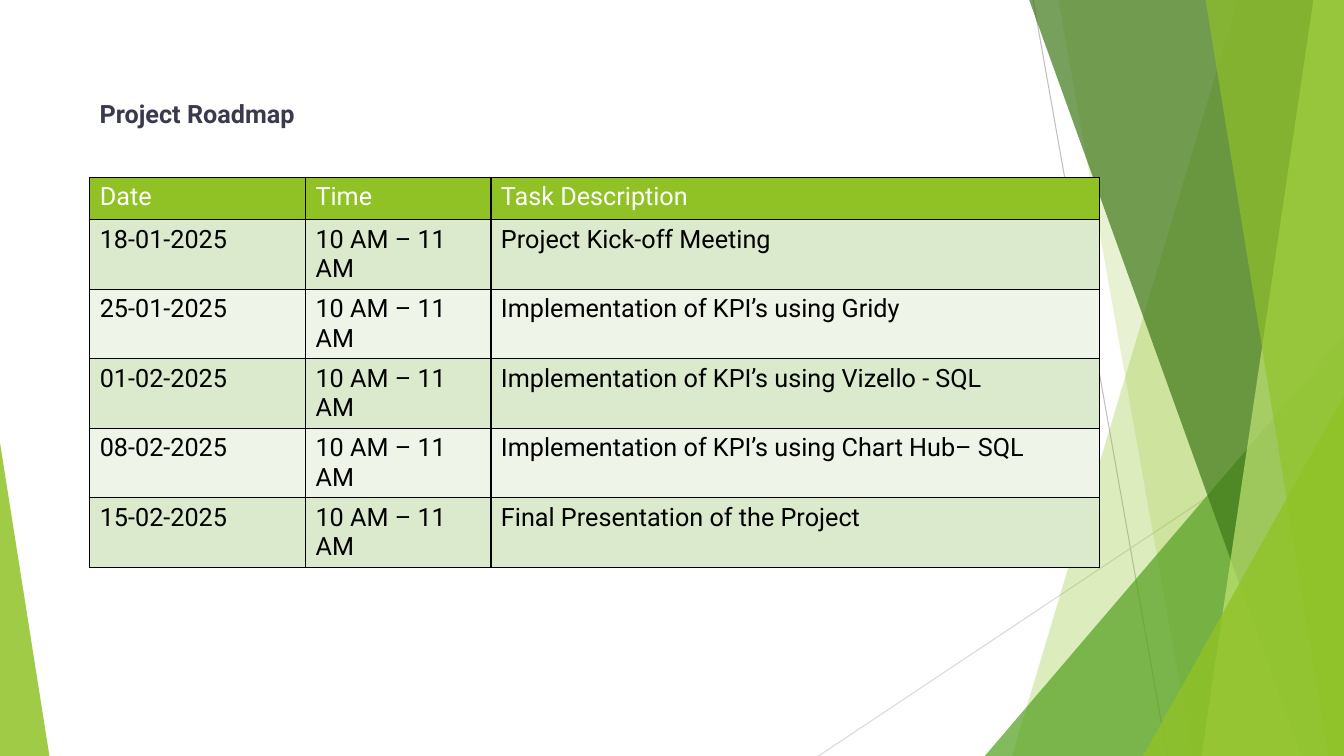
import pptx
import pptx.util
import pptx.dml.color
import pptx.enum.shapes
import pptx.oxml.ns
from lxml import etree

FONT = "Roboto"
WIDE, HIGH = pptx.util.Inches(13.333), pptx.util.Inches(7.5)

# Boxes are left, top, width, height in hundredths of the slide.
LEFT_BOX = (0, 58.53, 3.68, 41.47)
RIGHT_BOX = (60, 0, 40, 100)
TITLE_BOX = (6.68, 12.4, 50, 5.33)
TABLE_BOX = (6.68, 23.47, 75.15, 51.6)

# Hundredths of the right box: (x1, y1, x2, y2), colour
RAYS = [((42.19, 0, 67.13, 100), "BFBFBF"),
        ((100, 53.73, 2.25, 100), "D9D9D9")]
# Facets touch the right edge: top x, bottom x, colour, opacity.
# Peaks rise to the right edge: left x, top y, colour, opacity.
PANES = [("facet", 80.25, 38.25, "90C226", 30),
         ("facet", 46.88, 71.82, "90C226", 20),
         ("peak", 33.19, 44.4, "54A021", 72),
         ("facet", 41.44, 92.07, "3F7819", 70),
         ("facet", 94.32, 73.5, "C0E474", 70),
         ("facet", 74.25, 97.13, "90C226", 65),
         ("peak", 62.63, 52.4, "90C226", 80)]

COLS = (21.36, 18.36, 60.28)
HEAD_ROW = 10.85
HOUR = "10 AM – 11 AM"
TASKS = [("Date", "Time", "Task Description"),
         ("18-01-2025", HOUR, "Project Kick-off Meeting"),
         ("25-01-2025", HOUR, "Implementation of KPI’s using Gridy"),
         ("01-02-2025", HOUR, "Implementation of KPI’s using Vizello - SQL"),
         ("08-02-2025", HOUR, "Implementation of KPI’s using Chart Hub– SQL"),
         ("15-02-2025", HOUR, "Final Presentation of the Project")]


def color(code):
    return pptx.dml.color.RGBColor.from_string(code)


def frame(box):
    """Turn a box in slide hundredths into lengths."""
    left, top, width, height = box
    return (round(left * WIDE / 100), round(top * HIGH / 100),
            round(width * WIDE / 100), round(height * HIGH / 100))


def spot(box, x, y):
    """Place a point given in hundredths of the box."""
    left, top, width, height = frame(box)
    return left + round(x * width / 100), top + round(y * height / 100)


def add_run(par, text, code, bold=False):
    run = par.add_run()
    run.text = text
    font = run.font
    font.name, font.size, font.bold = FONT, pptx.util.Pt(18), bold
    font.color.rgb = color(code)


def paint(shape, code, alpha):
    shape.shadow.inherit = False
    shape.line.fill.background()
    shape.fill.solid()
    shape.fill.fore_color.rgb = color(code)
    tint = shape._element.spPr.find(".//" + pptx.oxml.ns.qn("a:srgbClr"))
    etree.SubElement(tint, pptx.oxml.ns.qn("a:alpha"), val=str(alpha * 1000))


def add_ray(slide, box, ends, code):
    line = slide.shapes.add_connector(
        pptx.enum.shapes.MSO_CONNECTOR.STRAIGHT,
        *spot(box, *ends[:2]), *spot(box, *ends[2:]))
    line.line.color.rgb = color(code)
    line.line.width = pptx.util.Pt(0.75)
    etree.SubElement(line._element.spPr, pptx.oxml.ns.qn("a:effectLst"))


def add_facet(slide, box, top, base, code, alpha):
    first, *rest = [spot(box, x, y) for x, y in
                    ((top, 0), (100, 0), (100, 100), (base, 100))]
    form = slide.shapes.build_freeform(*first)
    form.add_line_segments(rest, close=True)
    paint(form.convert_to_shape(), code, alpha)


def add_peak(slide, box, left, top, code, alpha, tip=1):
    """Fill the box from left and top on with a triangle; tip is 0 to 1."""
    start, end = spot(box, left, top), spot(box, 100, 100)
    peak = slide.shapes.add_shape(
        pptx.enum.shapes.MSO_SHAPE.ISOSCELES_TRIANGLE,
        *start, end[0] - start[0], end[1] - start[1])
    peak.adjustments[0] = tip
    paint(peak, code, alpha)


def add_decor(slide, box):
    for ends, code in RAYS:
        add_ray(slide, box, ends, code)
    for kind, *pane in PANES:
        draw = add_facet if kind == "facet" else add_peak
        draw(slide, box, *pane)


def add_title(slide, box):
    text = slide.shapes.add_textbox(*frame(box)).text_frame
    text.word_wrap = True
    add_run(text.paragraphs[0], "Project Roadmap", "393950", True)


def add_edges(cell):
    props = cell._tc.get_or_add_tcPr()
    for side in ("lnL", "lnR", "lnT", "lnB"):
        edge = etree.SubElement(props, pptx.oxml.ns.qn("a:" + side),
                                w=str(pptx.util.Pt(1)))
        fill = etree.SubElement(edge, pptx.oxml.ns.qn("a:solidFill"))
        etree.SubElement(fill, pptx.oxml.ns.qn("a:srgbClr"), val="000000")


def add_tasks(slide, box):
    left, top, width, height = frame(box)
    table = slide.shapes.add_table(
        len(TASKS), len(COLS), left, top, width, height).table
    table.first_row = table.horz_banding = False
    for col, share in zip(table.columns, COLS):
        col.width = round(width * share / 100)
    body = (100 - HEAD_ROW) / (len(TASKS) - 1)
    for i, words in enumerate(TASKS):
        share = body if i else HEAD_ROW
        table.rows[i].height = round(height * share / 100)
        back = ("DBE9CD" if i % 2 else "EEF4E8") if i else "90C226"
        for j, word in enumerate(words):
            cell = table.cell(i, j)
            add_edges(cell)
            cell.fill.solid()
            cell.fill.fore_color.rgb = color(back)
            add_run(cell.text_frame.paragraphs[0], word,
                    "000000" if i else "FFFFFF")


def main():
    deck = pptx.Presentation()
    deck.slide_width, deck.slide_height = WIDE, HIGH
    slide = deck.slides.add_slide(deck.slide_layouts[6])
    add_decor(slide, RIGHT_BOX)
    add_peak(slide, LEFT_BOX, 0, 0, "90C226", 85, tip=0)
    add_tasks(slide, TABLE_BOX)
    add_title(slide, TITLE_BOX)
    deck.save("out.pptx")


if __name__ == "__main__":
    main()
